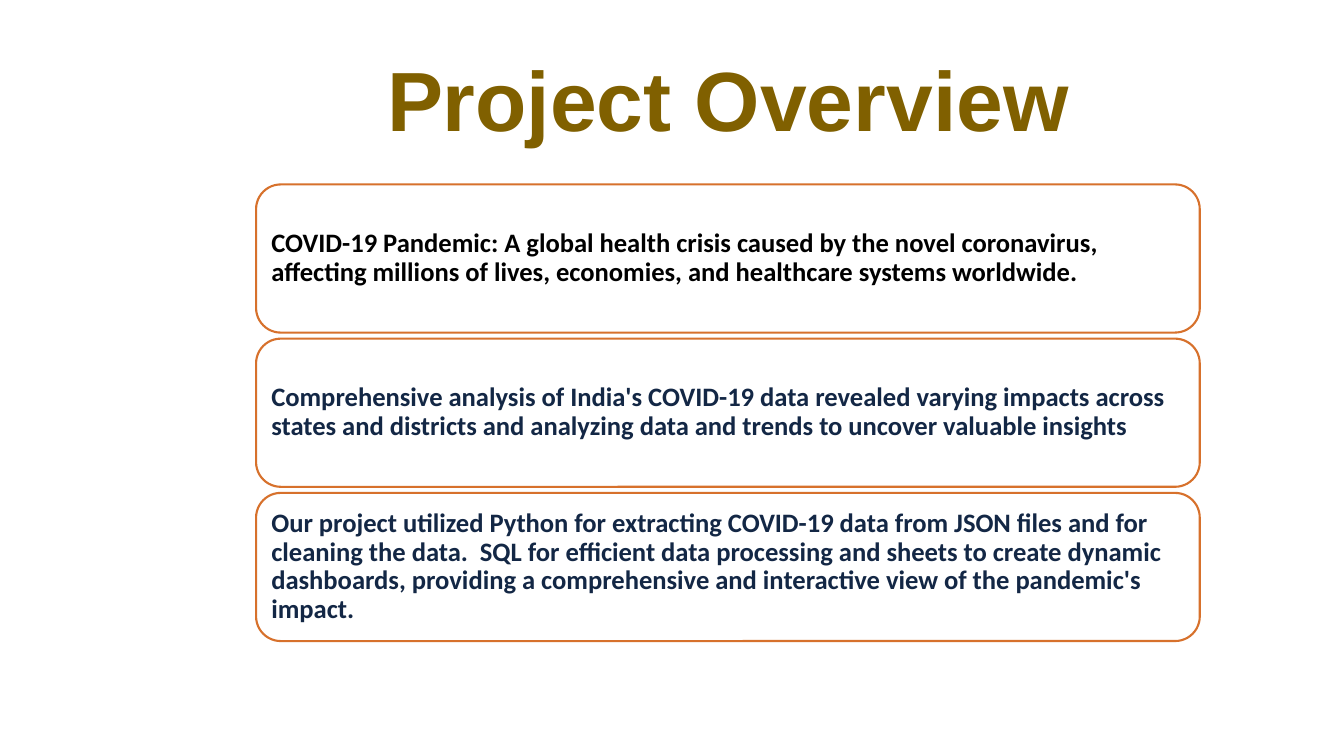
"""Build the Project Overview slide with three stacked statement cards."""
from dataclasses import dataclass

from pptx import Presentation
from pptx.dml.color import RGBColor
from pptx.enum.shapes import MSO_SHAPE
from pptx.enum.text import MSO_ANCHOR, PP_ALIGN
from pptx.shapes.autoshape import Shape
from pptx.slide import Slide
from pptx.util import Emu, Pt

ROUNDED = MSO_SHAPE.ROUNDED_RECTANGLE
MIDDLE = MSO_ANCHOR.MIDDLE
CENTER, LEFT = PP_ALIGN.CENTER, PP_ALIGN.LEFT

WHITE = RGBColor(0xFF, 0xFF, 0xFF)
BLACK = RGBColor(0x00, 0x00, 0x00)
NAVY = RGBColor(0x13, 0x27, 0x45)
GOLD = RGBColor(0x80, 0x60, 0x00)
ORANGE = RGBColor(0xD7, 0x71, 0x2C)

EMU_PER_PX = 9144
SLIDE_SIZE = (1333, 750)
TITLE_BOX = (298, 31, 848, 144)
CARD_LEFT, CARD_TOP, CARD_WIDTH, CARD_HEIGHT = 254, 183, 936, 147
CARD_STEP = 153
CARD_INSET = 8

TITLE_FONT = {"name": "Arial", "size": Pt(60), "bold": True}
CARD_FONT = {"name": "Calibri", "size": Pt(19), "bold": True}


@dataclass(frozen=True)
class Card:
    """Statement shown in one rounded card."""

    text: str
    color: RGBColor


CARDS = (
    Card("COVID-19 Pandemic: A global health crisis caused by the novel coronavirus, "
         "affecting millions of lives, economies, and healthcare systems worldwide.", BLACK),
    Card("Comprehensive analysis of India's COVID-19 data revealed varying impacts across "
         "states and districts and analyzing data and trends to uncover valuable insights", NAVY),
    Card("Our project utilized Python for extracting COVID-19 data from JSON files and for "
         "cleaning the data.  SQL for efficient data processing and sheets to create dynamic "
         "dashboards, providing a comprehensive and interactive view of the pandemic's "
         "impact.", NAVY),
)


def px(value: int) -> Emu:
    """Turn whole pixels into EMU."""
    return Emu(value * EMU_PER_PX)


def write(box: Shape, text: str, color: RGBColor, font: dict, align: PP_ALIGN) -> None:
    """Write one formatted paragraph in the middle of a box."""
    frame = box.text_frame
    frame.word_wrap = True
    frame.vertical_anchor = MIDDLE
    para = frame.paragraphs[0]
    para.alignment = align
    para.line_spacing = 0.9
    span = para.add_run()
    span.text = text
    for name, value in font.items():
        setattr(span.font, name, value)
    span.font.color.rgb = color


def add_card(page: Slide, card: Card, top: int) -> None:
    """Draw one outlined card with its statement."""
    box = page.shapes.add_shape(
        ROUNDED, px(CARD_LEFT), px(top), px(CARD_WIDTH), px(CARD_HEIGHT))
    box.shadow.inherit = False
    box.fill.solid()
    box.fill.fore_color.rgb = WHITE
    box.line.color.rgb = ORANGE
    box.line.width = Pt(1.5)
    for side in ("left", "top", "right", "bottom"):
        setattr(box.text_frame, f"margin_{side}", px(CARD_INSET))
    write(box, card.text, card.color, CARD_FONT, LEFT)


def main() -> None:
    """Build and save the deck."""
    deck = Presentation()
    deck.slide_width, deck.slide_height = map(px, SLIDE_SIZE)
    page = deck.slides.add_slide(deck.slide_layouts[6])
    title = page.shapes.add_textbox(*map(px, TITLE_BOX))
    write(title, "Project Overview", GOLD, TITLE_FONT, CENTER)
    for index, card in enumerate(CARDS):
        add_card(page, card, CARD_TOP + index * CARD_STEP)
    deck.save("out.pptx")


if __name__ == "__main__":
    main()
